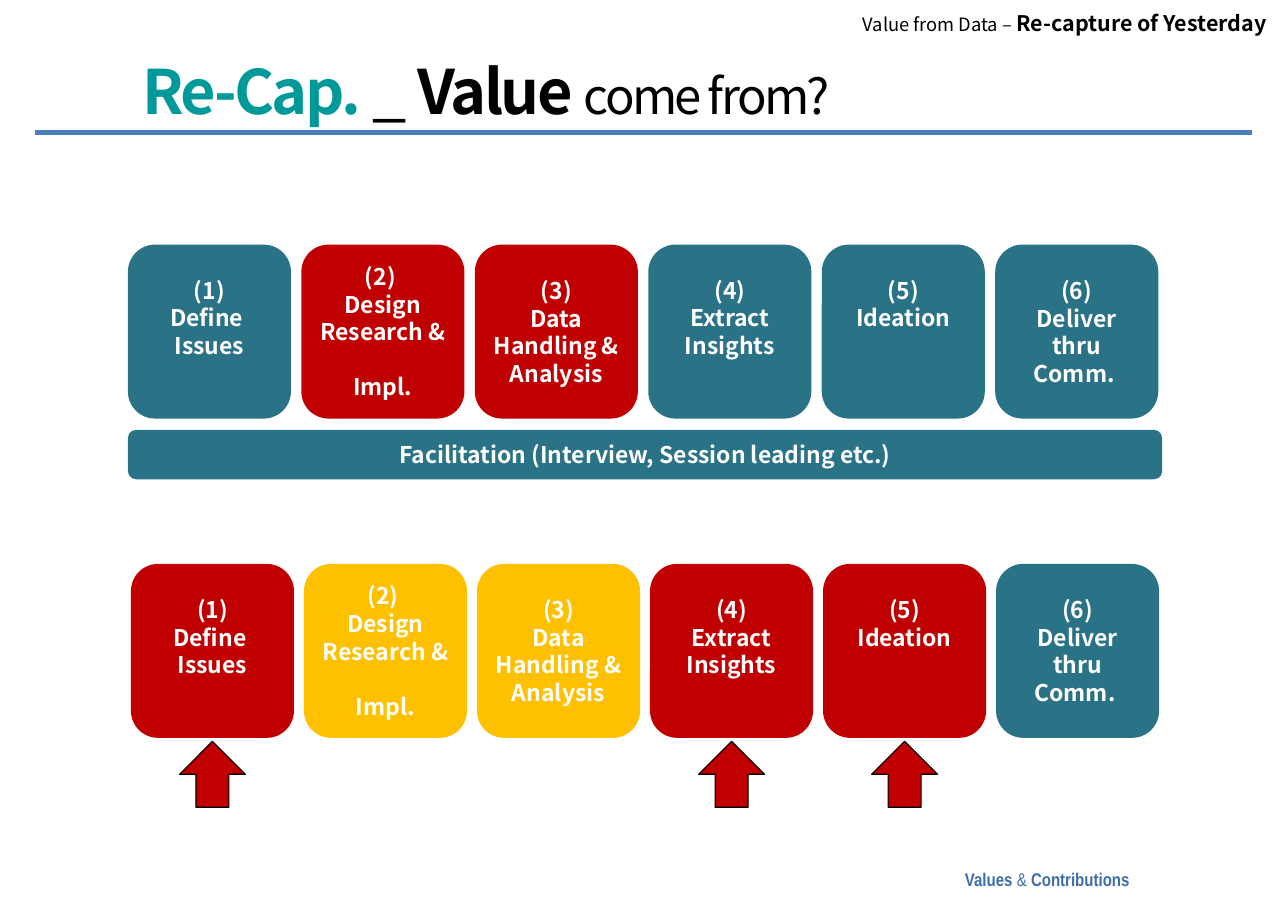
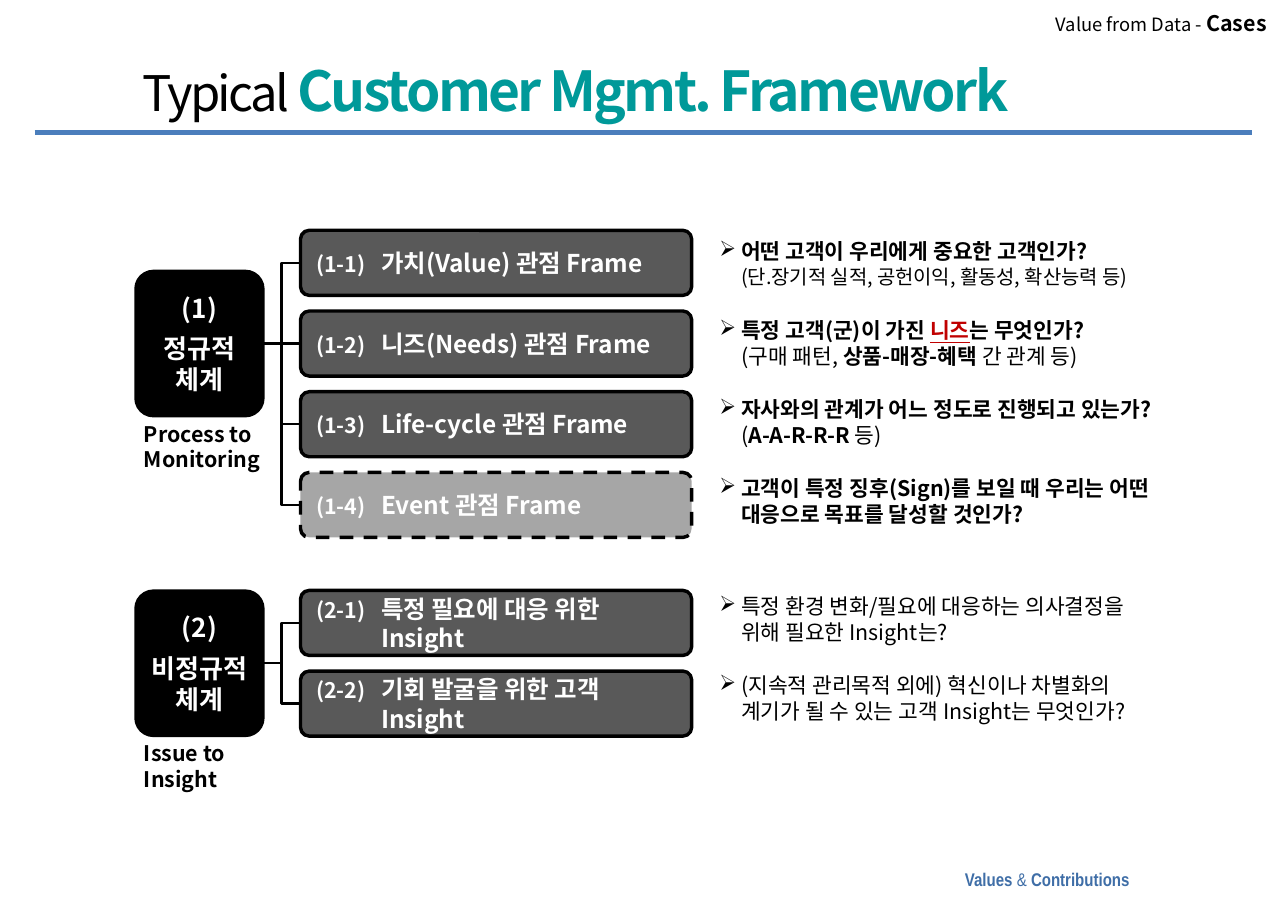
import copy
from dataclasses import dataclass

import pptx
import pptx.dml.color
import pptx.enum.dml
import pptx.enum.shapes
import pptx.enum.text
import pptx.oxml
import pptx.oxml.ns
import pptx.util

Cm = pptx.util.Cm
Pt = pptx.util.Pt
SHAPE = pptx.enum.shapes.MSO_SHAPE
CONNECTOR = pptx.enum.shapes.MSO_CONNECTOR
ALIGN = pptx.enum.text.PP_ALIGN
ANCHOR = pptx.enum.text.MSO_ANCHOR

BODY_FONT = "Noto Sans CJK KR"
FOOTER_FONT = "Arial Narrow"
BLACK, WHITE = "000000", "FFFFFF"
TEAL, RED, AMBER = "2A7286", "C00000", "FFC000"
ACCENT, RULE_BLUE, FOOTER_BLUE = "009999", "4B7EBC", "3F6EA7"
DARK_GREY, LIGHT_GREY = "595959", "A6A6A6"

STEP_WIDTH, STEP_HEIGHT, STEP_LINE = 3.76, 4.01, 0.64
ARROW_SIZE = 1.52
NODE_LEFT, NODE_WIDTH, NODE_HEIGHT = 3.15, 2.9, 3.3
FRAME_LEFT, FRAME_WIDTH, FRAME_HEIGHT, FRAME_PITCH = 6.93, 9.02, 1.5, 1.86
QUESTION_LEFT, QUESTION_WIDTH, QUESTION_PITCH = 16.23, 10.85, 1.82

STEPS = [
    ("(1)", "Define \nIssues", 3),
    ("(2) ", "Design\nResearch & \nImpl.", 5),
    ("(3)", "Data Handling & Analysis", 4),
    ("(4)", "Extract\nInsights", 3),
    ("(5)", "Ideation", 2),
    ("(6)", "Deliver\nthru\nComm. ", 4),
]


@dataclass
class Words:
    """A stretch of text in one style; a newline is a line break."""
    text: str
    size: float = 14
    color: str = BLACK
    bold: bool = False
    underline: bool = False
    font: str = BODY_FONT
    tracking: int = 0


def rgb(color):
    return pptx.dml.color.RGBColor.from_string(color)


def add_words(paragraph, words):
    for index, line in enumerate(words.text.split("\n")):
        if index:
            paragraph.add_line_break()
            line_break = paragraph._p[-1]
        run = paragraph.add_run()
        run.text = line
        font = run.font
        font.name, font.size, font.bold = words.font, Pt(words.size), words.bold
        font.color.rgb = rgb(words.color)
        if words.underline:
            font.underline = True
        properties = run._r.get_or_add_rPr()
        if words.tracking:
            properties.set("spc", str(words.tracking))
        latin = properties.find(pptx.oxml.ns.qn("a:latin"))
        east_asian = copy.deepcopy(latin)
        east_asian.tag = pptx.oxml.ns.qn("a:ea")
        latin.addnext(east_asian)
        if index:
            line_break.append(copy.deepcopy(properties))
        if not line:
            paragraph._p.remove(run._r)


def set_text(shape, paragraphs, align=ALIGN.LEFT, anchor=ANCHOR.TOP,
             insets=(0.25, 0.13, 0.25, 0.13), wrap=True, gap=0):
    """Fill a shape; insets are left, top, right, bottom and gap is in points."""
    frame = shape.text_frame
    frame.word_wrap, frame.vertical_anchor = wrap, anchor
    (frame.margin_left, frame.margin_top,
     frame.margin_right, frame.margin_bottom) = map(Cm, insets)
    for index, content in enumerate(paragraphs):
        paragraph = frame.add_paragraph() if index else frame.paragraphs[0]
        paragraph.alignment = align
        if index and gap:
            paragraph.space_before = Pt(gap)
        for words in content:
            add_words(paragraph, words)
    return frame


def add_text(slide, left, top, width, height, words, **layout):
    box = slide.shapes.add_textbox(Cm(left), Cm(top), Cm(width), Cm(height))
    return set_text(box, [words], **layout)


def hang(paragraph, indent, bullet=None):
    """Give a paragraph a hanging indent and, if asked, a bullet."""
    properties = paragraph._p.get_or_add_pPr()
    properties.set("marL", str(Cm(indent)))
    properties.set("indent", str(-Cm(indent)))
    if bullet:
        properties.append(pptx.oxml.parse_xml(
            f'<a:buChar {pptx.oxml.ns.nsdecls("a")} char="{bullet}"/>'))


def add_block(slide, kind, left, top, width, height, fill,
              line_width=0, corner=None):
    block = slide.shapes.add_shape(kind, Cm(left), Cm(top), Cm(width), Cm(height))
    block.shadow.inherit = False
    block.fill.solid()
    block.fill.fore_color.rgb = rgb(fill)
    if line_width:
        block.line.color.rgb = rgb(BLACK)
        block.line.width = Pt(line_width)
    else:
        block.line.fill.background()
    if corner:
        block.adjustments[0] = corner
    return block


def add_line(slide, kind, color, width, start=(0, 0), end=(0, 0)):
    line = slide.shapes.add_connector(kind, *map(Cm, start + end))
    line.line.color.rgb = rgb(color)
    line.line.width = Pt(width)
    line._element.spPr.append(pptx.oxml.parse_xml(
        f'<a:effectLst {pptx.oxml.ns.nsdecls("a")}/>'))
    return line


def add_page(deck, topic, title):
    """Add a slide with the shared rule, footer, running head and title."""
    slide = deck.slides.add_slide(deck.slide_layouts[6])
    add_line(slide, CONNECTOR.STRAIGHT, RULE_BLUE, 3, (0.8, 3.05), (28.86, 3.05))
    footer = [Words(text, 12, FOOTER_BLUE, bold, font=FOOTER_FONT)
              for text, bold in (("Values ", True), ("& ", False),
                                 ("Contributions", True))]
    add_text(slide, 20.1, 19.89, 6.2, 0.76, footer, align=ALIGN.RIGHT)
    add_text(slide, 18.06, 0.1, 11.4, 0.86, topic, align=ALIGN.RIGHT)
    add_text(slide, 3, 1.27, 25, 1.6, title, anchor=ANCHOR.MIDDLE,
             insets=(0.28, 0.15, 0.28, 0.15))
    return slide


def add_steps(slide, left, top, pitch, fills):
    """Draw the six steps with their first lines level where there is room."""
    for index, ((number, label, lines), fill) in enumerate(zip(STEPS, fills)):
        step = add_block(slide, SHAPE.ROUNDED_RECTANGLE, left + index * pitch, top,
                         STEP_WIDTH, STEP_HEIGHT, fill)
        bottom = 0.13 + STEP_LINE * max(0, 4 - lines)
        set_text(step, [[Words(number, 15, WHITE, True)],
                        [Words(label, 15, WHITE, True)]],
                 align=ALIGN.CENTER, anchor=ANCHOR.MIDDLE,
                 insets=(0.25, 0.13, 0.25, bottom))


def add_frame(slide, top, number, label, optional):
    frame = add_block(slide, SHAPE.ROUNDED_RECTANGLE, FRAME_LEFT, top, FRAME_WIDTH,
                      FRAME_HEIGHT, LIGHT_GREY if optional else DARK_GREY, 2.25, 0.135)
    if optional:
        frame.line.dash_style = pptx.enum.dml.MSO_LINE.DASH
    text = set_text(frame, [[Words(number + "\t", 14, WHITE, True),
                             Words(label, 16, WHITE, True)]],
                    anchor=ANCHOR.MIDDLE, insets=(0.3, 0.13, 0.1, 0.13))
    hang(text.paragraphs[0], 1.5)
    return frame


def add_group(slide, number, name, caption, frame_top, question_top, frames):
    """Draw one system: its node, the frames it branches to and their questions."""
    centre = frame_top + FRAME_HEIGHT / 2 + FRAME_PITCH * (1 if len(frames) > 2 else 0.5)
    node_top = round(centre - NODE_HEIGHT / 2, 2)
    node = add_block(slide, SHAPE.ROUNDED_RECTANGLE, NODE_LEFT, node_top,
                     NODE_WIDTH, NODE_HEIGHT, BLACK, 3, 0.135)
    set_text(node, [[Words(number, 17, WHITE, True)], [Words(name, 17, WHITE, True)]],
             align=ALIGN.CENTER, anchor=ANCHOR.MIDDLE,
             insets=(0.1, 0.13, 0.1, 0.13), gap=6)
    add_text(slide, 3.07, node_top + NODE_HEIGHT, 3.2, 1.45,
             [Words(caption, bold=True)], wrap=False)
    for index, (label, question, optional) in enumerate(frames):
        frame = add_frame(slide, frame_top + index * FRAME_PITCH,
                          f"{number[:-1]}-{index + 1})", label, optional)
        branch = add_line(slide, CONNECTOR.ELBOW, BLACK, 1.5)
        branch.begin_connect(node, 3)
        branch.end_connect(frame, 1)
        text = add_text(slide, QUESTION_LEFT, question_top + index * QUESTION_PITCH,
                        QUESTION_WIDTH, FRAME_HEIGHT, question,
                        insets=(0.36, 0.19, 0.16, 0.19))
        hang(text.paragraphs[0], 0.5, "➢")


def build_recap(deck):
    slide = add_page(
        deck,
        [Words("Value from Data – ", 12), Words("Re-capture of Yesterday", bold=True)],
        [Words("Re-Cap.", 40, ACCENT, True, tracking=-170),
         Words(" _ ", 40, tracking=-170),
         Words("Value ", 40, bold=True, tracking=-170),
         Words("come from?", 32, tracking=-170)])
    add_steps(slide, 2.95, 5.64, 4, [TEAL, RED, RED, TEAL, TEAL, TEAL])
    facilitation = add_block(slide, SHAPE.ROUNDED_RECTANGLE, 2.95, 9.91, 23.85, 1.14, TEAL)
    set_text(facilitation, [[Words("Facilitation (Interview, Session leading etc.)",
                                   15, WHITE, True)]],
             align=ALIGN.CENTER, anchor=ANCHOR.MIDDLE)
    left, pitch = 3.02, 3.99
    fills = [RED, AMBER, AMBER, RED, RED, TEAL]
    add_steps(slide, left, 13, pitch, fills)
    for index, fill in enumerate(fills):
        if fill == RED:
            add_block(slide, SHAPE.UP_ARROW,
                      left + index * pitch + (STEP_WIDTH - ARROW_SIZE) / 2, 17.09,
                      ARROW_SIZE, ARROW_SIZE, RED, 0.75)


def build_framework(deck):
    slide = add_page(
        deck,
        [Words("Value from Data - ", 12), Words("Cases", bold=True)],
        [Words("Typical ", 32, tracking=-170),
         Words("Customer Mgmt. Framework", 36, ACCENT, True, tracking=-170)])
    add_group(slide, "(1)", "정규적\n체계", "Process to\nMonitoring", 5.31, 5.31, [
        ("가치(Value) 관점 Frame",
         [Words("어떤 고객이 우리에게 중요한 고객인가?\n", bold=True),
          Words("(단.장기적 실적, 공헌이익, 활동성, 확산능력 등)", 13)], False),
        ("니즈(Needs) 관점 Frame",
         [Words("특정 고객(군)이 가진 ", bold=True),
          Words("니즈", color=RED, bold=True, underline=True),
          Words("는 무엇인가?\n", bold=True), Words("(구매 패턴, "),
          Words("상품-매장-혜택", bold=True), Words(" 간 관계 등)")], False),
        ("Life-cycle 관점 Frame",
         [Words("자사와의 관계가 어느 정도로 진행되고 있는가?\n", bold=True),
          Words("("), Words("A-A-R-R-R ", bold=True), Words("등)")], False),
        ("Event 관점 Frame",
         [Words("고객이 특정 징후(Sign)를 보일 때 우리는 "
                "어떤 대응으로 목표를 달성할 것인가?", bold=True)], True),
    ])
    add_group(slide, "(2)", "비정규적\n체계", "Issue to\nInsight", 13.61, 13.49, [
        ("특정 필요에 대응 위한 Insight",
         [Words("특정 환경 변화/필요에 대응하는 의사결정을 위해 필요한 Insight는?")], False),
        ("기회 발굴을 위한 고객 Insight",
         [Words("(지속적 관리목적 외에) 혁신이나 차별화의 "
                "계기가 될 수 있는 고객 Insight는 무엇인가?")], False),
    ])


def main():
    deck = pptx.Presentation()
    deck.slide_width, deck.slide_height = Cm(29.7), Cm(21)
    build_recap(deck)
    build_framework(deck)
    deck.save("out.pptx")


if __name__ == "__main__":
    main()
